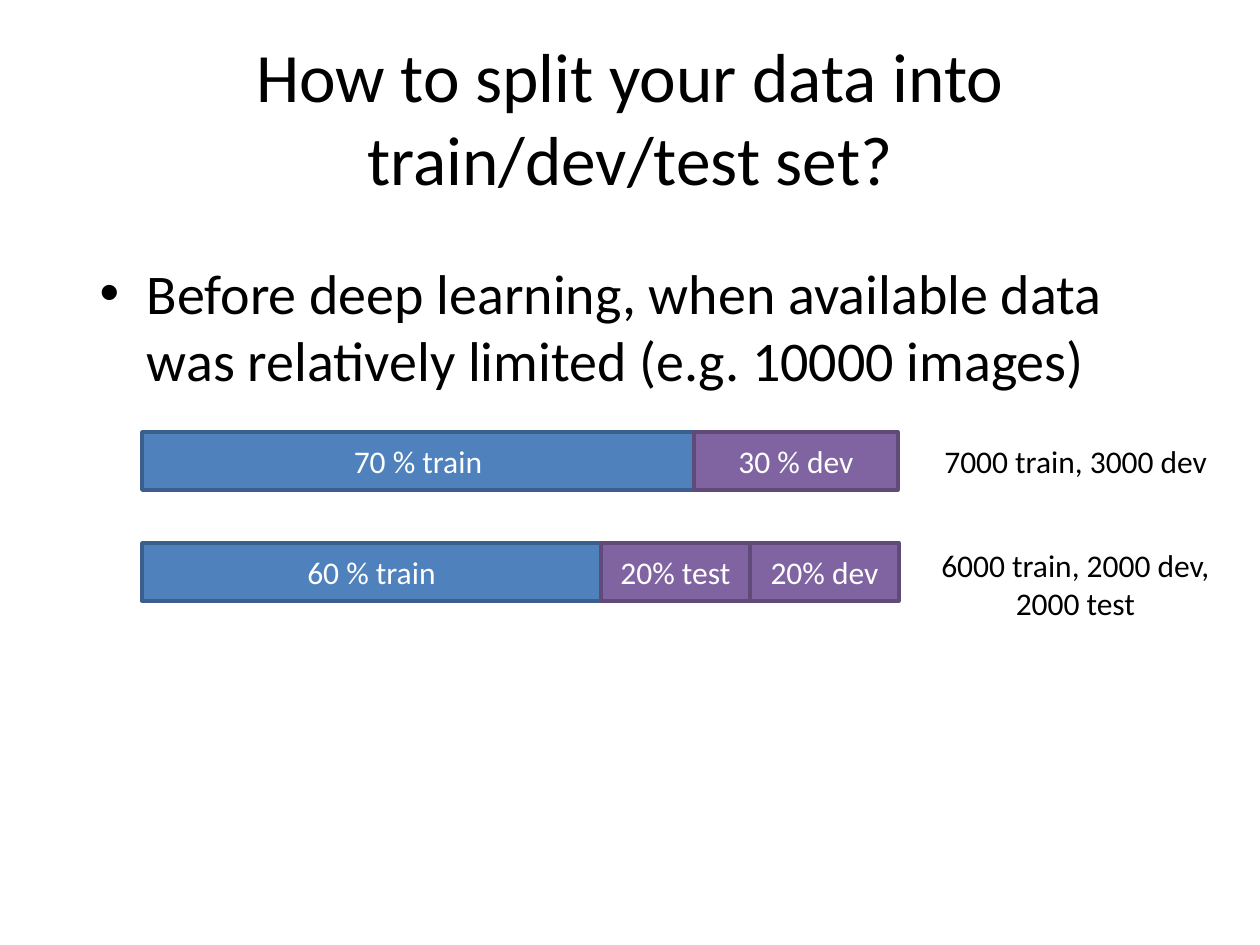
from pptx import Presentation
from pptx.dml.color import RGBColor as RGB
from pptx.enum.shapes import MSO_SHAPE as Shape
from pptx.enum.text import MSO_ANCHOR as Anchor, MSO_AUTO_SIZE as Auto, PP_ALIGN as Align
from pptx.util import Pt

PX = 914400 / 126
BLACK = RGB(0x00, 0x00, 0x00)
WHITE = RGB(0xFF, 0xFF, 0xFF)
TRAIN = (RGB(0x4F, 0x81, 0xBD), RGB(0x3A, 0x5F, 0x8C))
EVAL = (RGB(0x80, 0x64, 0xA2), RGB(0x5F, 0x4A, 0x78))

TITLE = "How to split your data into train/dev/test set?"
BODY = "Before deep learning, when available data was relatively limited (e.g. 10000 images)"
LEFT, HIGH = 142, 58
BARS = [
    (432, [("70 % train", 552, TRAIN), ("30 % dev", 204, EVAL)]),
    (543, [("60 % train", 459, TRAIN), ("20% test", 149, EVAL), ("20% dev", 149, EVAL)]),
]
NOTES = [
    (["7000 train, 3000 dev"], (932, 436, 291, 50), Align.LEFT),
    (["6000 train, 2000 dev,", "2000 test"], (927, 540, 297, 89), Align.CENTER),
]


def emu(*sizes):
    return [round(size * PX) for size in sizes]


def write(frame, lines, size, color, align):
    frame.text = "\n".join(lines)
    for para in frame.paragraphs:
        para.alignment = align
        font = para.font
        font.name, font.size = "Calibri", Pt(size)
        font.color.rgb = color


def place(shape, box):
    shape.left, shape.top, shape.width, shape.height = emu(*box)


def draw_bar(slide, top, parts):
    group = slide.shapes.add_group_shape()
    left = LEFT
    for text, wide, (fill, edge) in parts:
        part = group.shapes.add_shape(Shape.RECTANGLE, *emu(left, top, wide, HIGH))
        part.shadow.inherit = False
        part.fill.solid()
        part.fill.fore_color.rgb = fill
        part.line.color.rgb = edge
        part.line.width = Pt(2)
        part.text_frame.vertical_anchor = Anchor.MIDDLE
        write(part.text_frame, [text], 18, WHITE, Align.CENTER)
        left += wide


def main():
    deck = Presentation()
    deck.slide_width, deck.slide_height = emu(1260, 945)
    slide = deck.slides.add_slide(deck.slide_layouts[1])

    title, body = slide.placeholders
    place(title, (63, 38, 1134, 157))
    write(title.text_frame, [TITLE], 39.6, BLACK, Align.CENTER)
    title.text_frame.vertical_anchor = Anchor.MIDDLE
    place(body, (87, 252, 1086, 430))
    write(body.text_frame, [BODY], 32, BLACK, Align.LEFT)
    body.text_frame.paragraphs[0].space_before = Pt(0)

    for top, parts in BARS:
        draw_bar(slide, top, parts)

    for lines, box, align in NOTES:
        frame = slide.shapes.add_textbox(*emu(*box)).text_frame
        frame.word_wrap = False
        frame.auto_size = Auto.SHAPE_TO_FIT_TEXT
        write(frame, lines, 18, BLACK, align)

    deck.save("out.pptx")


if __name__ == "__main__":
    main()
